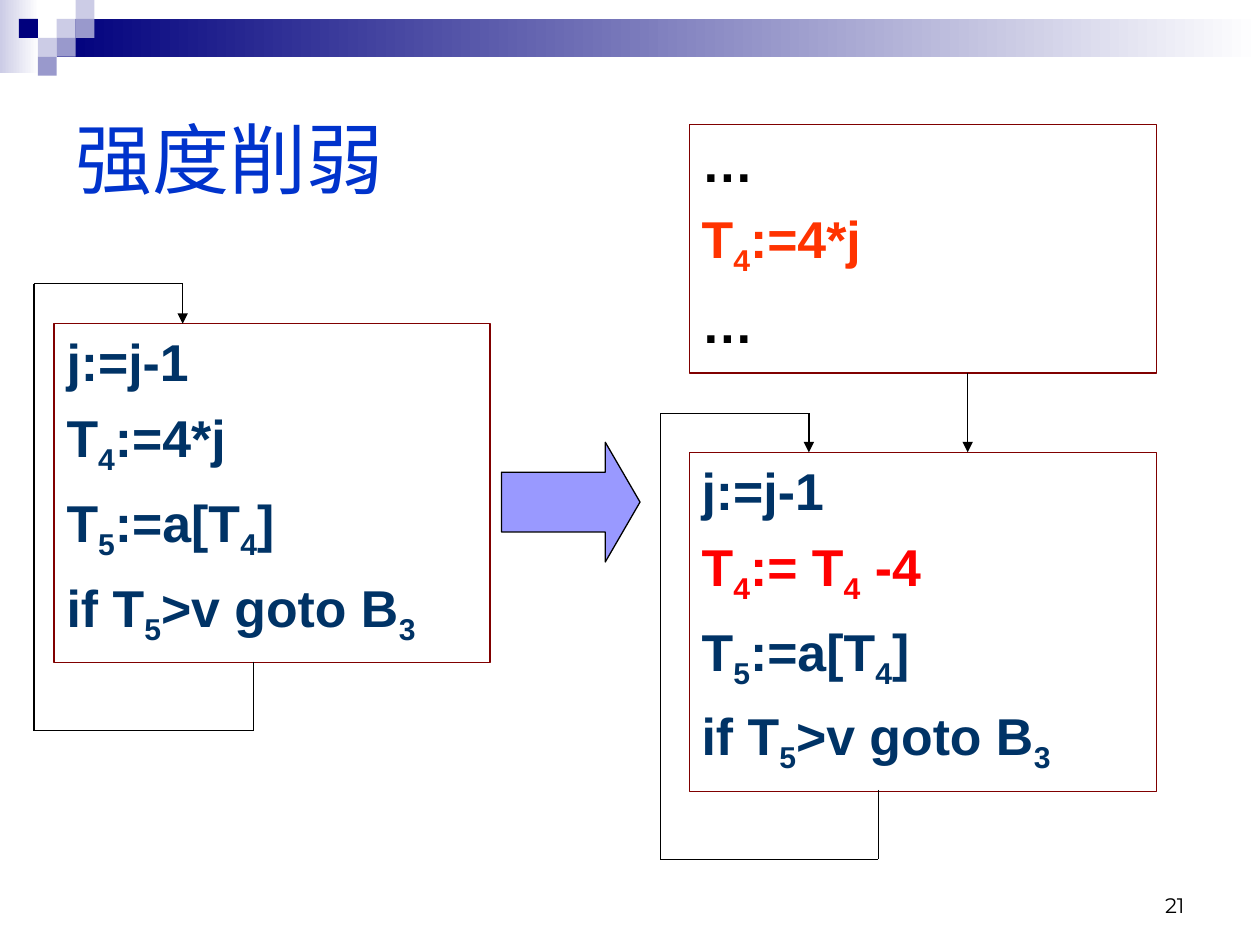
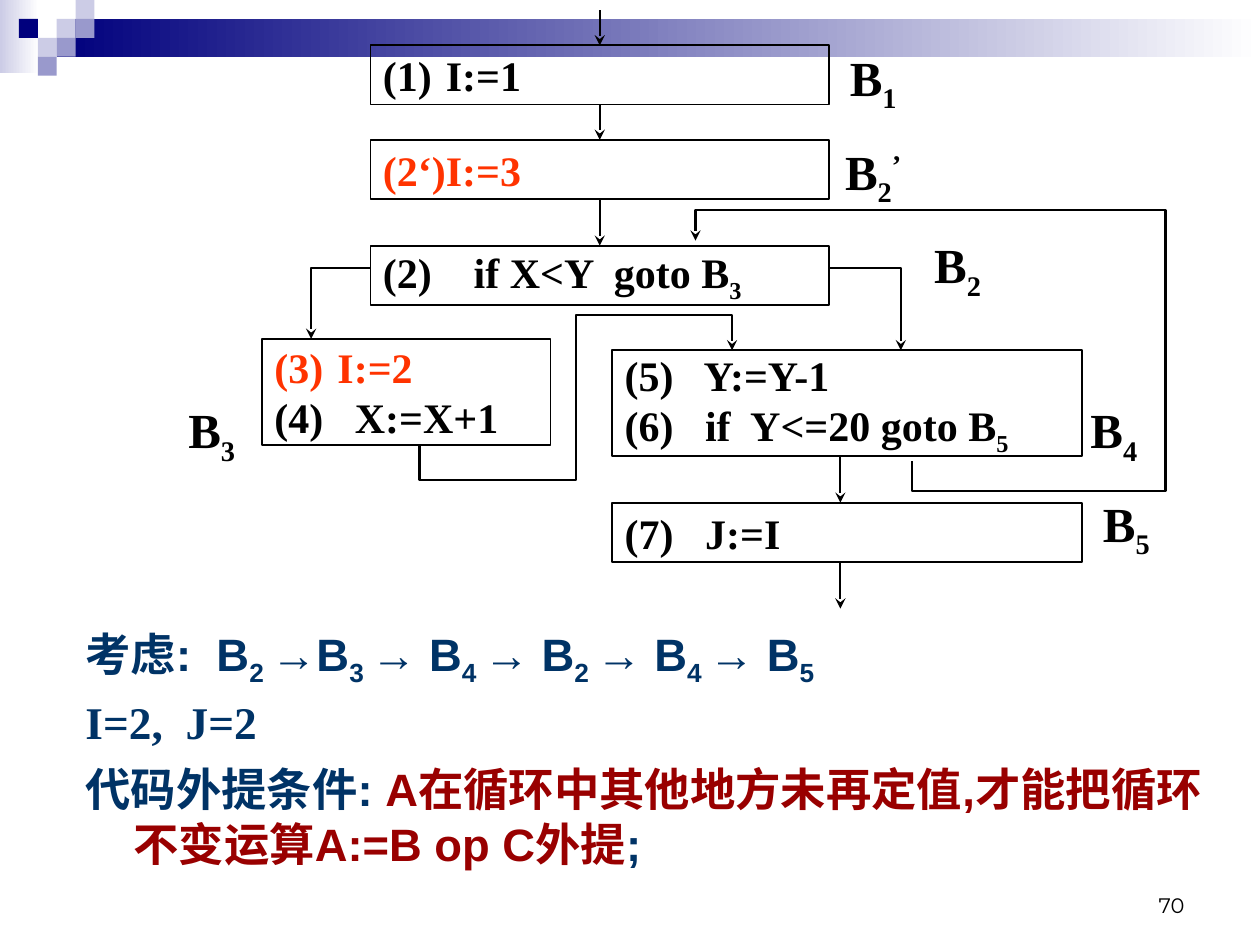
from itertools import pairwise

from lxml.etree import SubElement
from pptx import Presentation
from pptx.dml.color import RGBColor
from pptx.enum.shapes import MSO_CONNECTOR, MSO_SHAPE
from pptx.enum.text import MSO_ANCHOR, MSO_AUTO_SIZE, PP_ALIGN
from pptx.oxml.ns import qn
from pptx.util import Inches, Pt

BLACK = RGBColor(0x00, 0x00, 0x00)
WHITE = RGBColor(0xFF, 0xFF, 0xFF)
TITLE_BLUE = RGBColor(0x00, 0x33, 0xCC)
CODE_BLUE = RGBColor(0x00, 0x33, 0x66)
NAVY = RGBColor(0x00, 0x00, 0x7D)
LILAC = RGBColor(0xCC, 0xCC, 0xE6)
VIOLET = RGBColor(0x99, 0x99, 0xCC)
ARROW_VIOLET = RGBColor(0x99, 0x99, 0xFF)
MAROON = RGBColor(0x80, 0x00, 0x00)
DARK_RED = RGBColor(0x99, 0x00, 0x00)
RED = RGBColor(0xFF, 0x00, 0x00)
ORANGE = RGBColor(0xFF, 0x33, 0x00)

SANS, SERIF, NUMBER_FONT = "Arial", "Times New Roman", "Montserrat"
BASELINES = {"_": "-25000", "^": "30000"}
HANGING = Inches(0.38)

deck = Presentation()
deck.slide_width, deck.slide_height = Inches(10), Inches(7.5)
CELL = deck.slide_width / 100  # the slide is a grid of 100 columns by 75 rows


def grid(*cells):
    return [round(CELL * cell) for cell in cells]


def write(frame, lines, font, size, bold=True, before=None, wrap=True,
          anchor=MSO_ANCHOR.TOP, align=PP_ALIGN.LEFT):
    """Write (text, colour) lines; "|" parts runs, and a leading _ or ^ lowers or raises one."""
    frame.word_wrap, frame.vertical_anchor = wrap, anchor
    frame.auto_size = MSO_AUTO_SIZE.NONE
    for number, (text, color) in enumerate(lines):
        para = frame.add_paragraph() if number else frame.paragraphs[0]
        para.alignment = align
        if before:
            para.space_before = Pt(before)
            properties = para._p.get_or_add_pPr()
            properties.set("marL", str(HANGING))
            properties.set("indent", str(-HANGING))
        for part in text.split("|"):
            span = para.add_run()
            span.text = part.lstrip("_^")
            span.font.name, span.font.size, span.font.bold = font, Pt(size), bold
            span.font.color.rgb = color
            if part[0] in BASELINES:
                span._r.get_or_add_rPr().set("baseline", BASELINES[part[0]])


reduction = deck.slides.add_slide(deck.slide_layouts.get_by_name("Title Only"))
motion = deck.slides.add_slide(deck.slide_layouts.get_by_name("Blank"))

# Bands and squares, moved to the master that both slides share
SQUARE = 1.5
bands = [((0, 0, 3.1, 5.8), LILAC, True), ((4.5, 1.5, 95.5, 3), NAVY, True)]
for column, row, color in [(3, 1, LILAC), (4, 0, LILAC), (4, 1, VIOLET), (2, 2, LILAC),
                           (1, 1, NAVY), (3, 2, VIOLET), (2, 3, VIOLET)]:
    bands.append(((column * SQUARE, row * SQUARE, SQUARE, SQUARE), color, False))
for number, (place, color, fades) in enumerate(bands):
    band = reduction.shapes.add_shape(MSO_SHAPE.RECTANGLE, *grid(*place))
    band.shadow.inherit = False
    band.line.fill.background()
    if fades:
        band.fill.gradient()
        band.fill.gradient_angle = 0
        for stop, stop_color in zip(band.fill.gradient_stops, (color, WHITE)):
            stop.color.rgb = stop_color
    else:
        band.fill.solid()
        band.fill.fore_color.rgb = color
    band.element.nvSpPr.cNvPr.set("id", str(100 + number))
    deck.slide_master.shapes.element.insert(2 + number, band.element)

for page, page_number in [(reduction, "21"), (motion, "70")]:
    box = page.shapes.add_textbox(*grid(71.7, 68.3, 23.3, 5))
    write(box.text_frame, [(page_number, BLACK)], NUMBER_FONT, 12, bold=False,
          anchor=MSO_ANCHOR.BOTTOM, align=PP_ALIGN.RIGHT)

# Title and big arrow of the strength reduction slide
title = reduction.shapes.title
title.left, title.top, title.width, title.height = grid(5, 5, 90, 15)
write(title.text_frame, [("强度削弱", TITLE_BLUE)], SANS, 44, bold=False,
      anchor=MSO_ANCHOR.MIDDLE)

big_arrow = reduction.shapes.add_shape(MSO_SHAPE.RIGHT_ARROW, *grid(39.8, 35.1, 11, 9.5))
big_arrow.adjustments[1] = 0.29
big_arrow.shadow.inherit = False
big_arrow.fill.solid()
big_arrow.fill.fore_color.rgb = ARROW_VIOLET
big_arrow.line.color.rgb, big_arrow.line.width = BLACK, Pt(0.75)

# Framed code blocks of both slides
code_style = dict(font=SANS, size=29.6, before=8)
block_style = dict(font=SERIF, size=24, wrap=False, anchor=MSO_ANCHOR.MIDDLE)
load_and_test = [("T|_5|:=a[T|_4|]", CODE_BLUE), ("if T|_5|>v goto B|_3", CODE_BLUE)]
code_blocks = [
    ("loop before", (4.3, 25.7, 34.6, 26.9),
     [("j:=j-1", CODE_BLUE), ("T|_4|:=4*j", CODE_BLUE)] + load_and_test),
    ("loop after", (54.7, 35.9, 37.1, 26.9),
     [("j:=j-1", CODE_BLUE), ("T|_4|:= T|_4| -4", RED)] + load_and_test),
    ("preheader", (54.7, 9.9, 37.1, 19.7),
     [("…", BLACK), ("T|_4|:=4*j", ORANGE), ("…", BLACK)]),
]
flow_blocks = [
    ("B1", (29.4, 3.6, 36.4, 4.7), [("(1)\tI:=1", BLACK)]),
    ("B2'", (29.4, 11.1, 36.4, 4.7), [("(2‘)\tI:=3", ORANGE)]),
    ("B2", (29.4, 19.5, 36.4, 4.7), [("(2)    if X<Y  goto B|_3", BLACK)]),
    ("B3", (20.8, 26.9, 22.9, 8.4), [("(3)\tI:=2", ORANGE), ("(4)   X:=X+1", BLACK)]),
    ("B4", (48.6, 27.8, 37.3, 8.4),
     [("(5)   Y:=Y-1", BLACK), ("(6)   if  Y<=20 goto B|_5", BLACK)]),
    ("B5", (48.6, 39.9, 37.3, 4.7), [("(7)   J:=I", BLACK)]),
]
blocks = {}
for page, group, style, color, weight in [
        (reduction, code_blocks, code_style, MAROON, 0.75),
        (motion, flow_blocks, block_style, BLACK, 1)]:
    for name, place, lines in group:
        box = page.shapes.add_shape(MSO_SHAPE.RECTANGLE, *grid(*place))
        box.shadow.inherit = False
        box.fill.background()
        box.line.color.rgb, box.line.width = color, Pt(weight)
        write(box.text_frame, lines, **style)
        blocks[name] = box

# Block names
for label, left, top in [("B|_1", 66.7, 3.6), ("B|_2|^’", 66.7, 11.1), ("B|_2", 73.4, 18.5),
                         ("B|_3", 14.2, 31.6), ("B|_4", 85.8, 31.6), ("B|_5", 86.8, 39)]:
    box = motion.shapes.add_textbox(*grid(left, top, 5.2, 5.6))
    write(box.text_frame, [(label, BLACK)], SERIF, 28, wrap=False,
          anchor=MSO_ANCHOR.MIDDLE, align=PP_ALIGN.CENTER)

# Flow lines: slide, points, weight, arrowhead, block left from, block reached
routes = [(reduction, [(76.8, 29.6), (76.8, 35.9)], 0.75, "triangle", None, None)]
for loop in [
        [(69.7, 62.7), (69.7, 68.2), (52.4, 68.2), (52.4, 32.8), (64.2, 32.8), (64.2, 35.9)],
        [(20.1, 52.5), (20.1, 58), (2.7, 58), (2.7, 22.5), (14.5, 22.5), (14.5, 25.7)]]:
    for start, end in pairwise(loop):
        head = "triangle" if end == loop[-1] else None
        routes.append((reduction, [start, end], 0.75, head, None, None))
for points, source, target in [
        ([(47.6, 0.8), (47.6, 3.6)], None, "B1"),
        ([(47.6, 8.3), (47.6, 11.1)], "B1", "B2'"),
        ([(47.6, 15.8), (47.6, 19.5)], "B2'", "B2"),
        ([(66.7, 36.2), (66.7, 39.9)], None, None),
        ([(66.7, 44.6), (66.7, 48.3)], None, None),
        ([(29.4, 21.3), (24.7, 21.3), (24.7, 26.9)], None, None),
        ([(65.8, 21.3), (71.5, 21.3), (71.5, 27.8)], None, None),
        ([(72.4, 36.6), (72.4, 39), (92.5, 39), (92.5, 16.7), (55.2, 16.7), (55.2, 19.1)],
         None, None),
        ([(33.3, 35.3), (33.3, 38.1), (45.7, 38.1), (45.7, 25), (58.1, 25), (58.1, 27.8)],
         None, None)]:
    routes.append((motion, points, 1.25, "stealth", source, target))

for page, points, weight, head, source, target in routes:
    spots = [grid(*point) for point in points]
    if len(spots) == 2:
        route = page.shapes.add_connector(MSO_CONNECTOR.STRAIGHT, *spots[0], *spots[1])
        if source:
            route.begin_connect(blocks[source], 2)
        if target:
            route.end_connect(blocks[target], 0)
    else:
        outline = page.shapes.build_freeform(*spots[0])
        outline.add_line_segments(spots[1:], close=False)
        route = outline.convert_to_shape()
        route.fill.background()
    route.line.color.rgb, route.line.width = BLACK, Pt(weight)
    properties = route.element.spPr
    if head:
        SubElement(properties.find(qn("a:ln")), qn("a:tailEnd"), type=head)
    SubElement(properties, qn("a:effectLst"))

# Explanation under the flow graph
box = motion.shapes.add_textbox(*grid(5.8, 49.2, 92.5, 21.7))
write(box.text_frame, [
    ("考虑:  B|_2 |→B|_3 |→ B|_4 |→ B|_2 |→ B|_4 |→ B|_5", CODE_BLUE),
    ("I=2,  J=2", CODE_BLUE),
    ("代码外提条件: |A在循环中其他地方未再定值,才能把循环不变运算A:=B op C外提|;", CODE_BLUE),
], SANS, 25.9, before=7)
path_para, values_para, condition_para = box.text_frame.paragraphs
values_para.line_spacing = 0.9
values_para.runs[0].font.name = SERIF
condition_para.runs[1].font.color.rgb = DARK_RED

deck.save("out.pptx")
